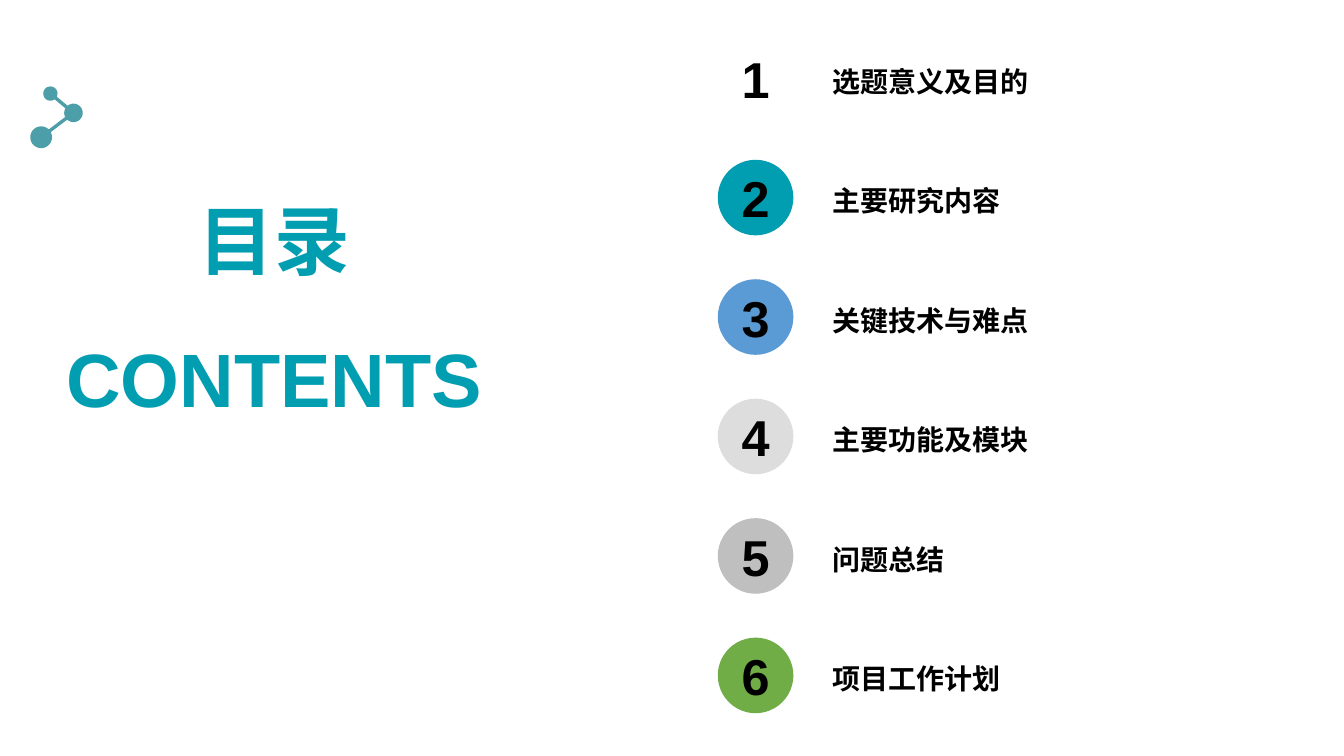
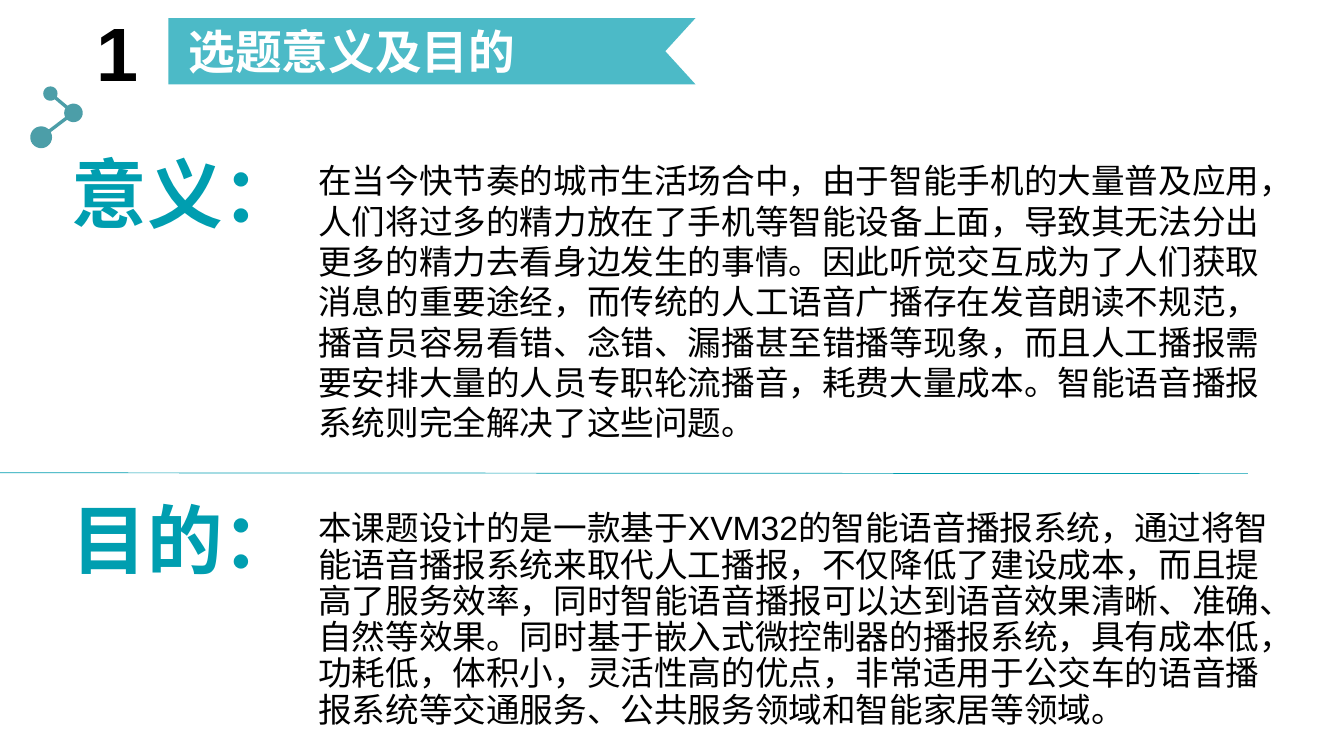
from dataclasses import dataclass
from math import asin, atan2, cos, pi, sin
from typing import NamedTuple

from lxml.etree import SubElement
from pptx import Presentation
from pptx.dml.color import RGBColor
from pptx.enum.lang import MSO_LANGUAGE_ID as Language
from pptx.enum.shapes import MSO_CONNECTOR as Connector, MSO_SHAPE as Preset
from pptx.enum.text import MSO_ANCHOR as Anchor, PP_ALIGN as Align
from pptx.oxml.ns import qn
from pptx.util import Emu, Inches, Pt

COLUMNS = 32
SLIDE_WIDTH = Inches(13.33)
SLIDE_HEIGHT = Inches(7.5)
CELL = SLIDE_WIDTH / COLUMNS


@dataclass(frozen=True)
class Theme:
    accent: str = "009EB0"
    molecule: str = "007684"
    blue: str = "5B9BD5"
    light_grey: str = "DDDDDD"
    grey: str = "BFBFBF"
    green: str = "70AD47"
    ink: str = "000000"
    paper: str = "FFFFFF"
    latin: str = "Arial"
    chinese: str = "Noto Sans CJK SC"
    title_size: float = 54
    number_size: float = 36
    ribbon_size: float = 33.3
    body_size: float = 24
    entry_size: float = 20
    opacity: int = 70


class Area(NamedTuple):
    left: float
    top: float
    width: float
    height: float


class Node(NamedTuple):
    x: float
    y: float
    radius: float


class Entry(NamedTuple):
    label: str
    color: str


class Section(NamedTuple):
    heading: str
    heading_top: float
    body: str
    body_top: float
    body_height: float
    line_spacing: float


THEME = Theme()

ENTRIES = [
    Entry("选题意义及目的", THEME.paper),
    Entry("主要研究内容", THEME.accent),
    Entry("关键技术与难点", THEME.blue),
    Entry("主要功能及模块", THEME.light_grey),
    Entry("问题总结", THEME.grey),
    Entry("项目工作计划", THEME.green),
]
ENTRY_PITCH = 2.845

SECTIONS = [
    Section(
        "意义：", 3.38,
        "在当今快节奏的城市生活场合中，由于智能手机的大量普及应用，"
        "人们将过多的精力放在了手机等智能设备上面，导致其无法分出更多的精力去看身边发生的事情。"
        "因此听觉交互成为了人们获取消息的重要途经，而传统的人工语音广播存在发音朗读不规范，"
        "播音员容易看错、念错、漏播甚至错播等现象，而且人工播报需要安排大量的人员专职轮流播音，"
        "耗费大量成本。智能语音播报系统则完全解决了这些问题。",
        3.7, 6.74, 1.0,
    ),
    Section(
        "目的：", 11.62,
        "本课题设计的是一款基于XVM32的智能语音播报系统，通过将智能语音播报系统来取代人工播报，"
        "不仅降低了建设成本，而且提高了服务效率，同时智能语音播报可以达到语音效果清晰、准确、自然等效果。"
        "同时基于嵌入式微控制器的播报系统，具有成本低，功耗低，体积小，灵活性高的优点，"
        "非常适用于公交车的语音播报系统等交通服务、公共服务领域和智能家居等领域。",
        12.07, 5.9, 0.9,
    ),
]

MOLECULE = [Node(1.2, 2.23, 0.17), Node(1.75, 2.69, 0.22), Node(0.98, 3.27, 0.26)]
HALF_LINK = 0.04
ARC_STEPS = 24


def cells(count: float) -> Emu:
    return Emu(round(count * CELL))


def place(area: Area) -> list[Emu]:
    return [cells(length) for length in area]


def paint(shape, color: str, opacity: int = 100) -> None:
    shape.shadow.inherit = False
    shape.fill.solid()
    shape.fill.fore_color.rgb = RGBColor.from_string(color)
    shape.line.fill.background()
    if opacity < 100:
        tint = shape._element.spPr.find(qn("a:solidFill"))[0]
        SubElement(tint, qn("a:alpha"), val=str(opacity * 1000))


def write(shape, text: str, *, size: float, color: str = THEME.ink,
          font: str = THEME.latin, bold: bool = True, align: Align = Align.LEFT,
          anchor: Anchor = Anchor.TOP, line_spacing: float = 1.0) -> None:
    frame = shape.text_frame
    frame.word_wrap = True
    frame.vertical_anchor = anchor
    para = frame.paragraphs[0]
    para.alignment = align
    para.line_spacing = line_spacing
    span = para.add_run()
    span.text = text
    span.font.size = Pt(size)
    span.font.bold = bold
    span.font.name = font
    span.font.language_id = Language.SIMPLIFIED_CHINESE
    span.font.color.rgb = RGBColor.from_string(color)
    SubElement(span.font._element, qn("a:ea"), typeface=THEME.chinese)


def add_text(page, area: Area, text: str, **style) -> None:
    write(page.shapes.add_textbox(*place(area)), text, **style)


def add_title(page, area: Area, text: str, align: Align) -> None:
    add_text(page, area, text, size=THEME.title_size, color=THEME.accent, align=align)


def add_number(page, area: Area, number: int, color: str, size: float) -> None:
    disc = page.shapes.add_shape(Preset.OVAL, *place(area))
    paint(disc, color)
    frame = disc.text_frame
    frame.margin_left = frame.margin_right = frame.margin_top = frame.margin_bottom = 0
    write(disc, str(number), size=size, align=Align.CENTER, anchor=Anchor.MIDDLE)


def add_outline(page, points: list[tuple[float, float]], color: str) -> None:
    start, *rest = [(cells(x), cells(y)) for x, y in points]
    builder = page.shapes.build_freeform(*start, scale=1.0)
    builder.add_line_segments(rest, close=True)
    paint(builder.convert_to_shape(), color, THEME.opacity)


def arc_between(node: Node, previous: Node, following: Node) -> list[tuple[float, float]]:
    gap = asin(HALF_LINK / node.radius)
    start = atan2(previous.y - node.y, previous.x - node.x) + gap
    end = atan2(following.y - node.y, following.x - node.x) - gap
    sweep = (end - start) % (2 * pi)
    angles = [start + sweep * step / ARC_STEPS for step in range(ARC_STEPS + 1)]
    return [(node.x + node.radius * cos(angle), node.y + node.radius * sin(angle))
            for angle in angles]


def add_molecule(page) -> None:
    small, middle, large = MOLECULE
    tour = [(small, middle, middle), (middle, small, large),
            (large, middle, middle), (middle, large, small)]
    add_outline(page, [point for stop in tour for point in arc_between(*stop)],
                THEME.molecule)


def add_page(deck):
    page = deck.slides.add_slide(deck.slide_layouts[6])
    add_molecule(page)
    return page


def add_ribbon(page, area: Area, notch: float, text: str) -> None:
    left, top, width, height = area
    right, bottom = left + width, top + height
    add_outline(page, [(left, top), (right, top), (right - notch, top + height / 2),
                       (right, bottom), (left, bottom)], THEME.accent)
    add_text(page, Area(left + 0.24, top + 0.1, 11.18, 1.37), text,
             size=THEME.ribbon_size, color=THEME.paper, font=THEME.chinese,
             anchor=Anchor.MIDDLE)


def add_divider(page, left: float, top: float, right: float, bottom: float) -> None:
    line = page.shapes.add_connector(Connector.STRAIGHT, cells(left), cells(top),
                                     cells(right), cells(bottom))
    line.line.color.rgb = RGBColor.from_string(THEME.accent)
    line.line.width = Pt(0.5)
    SubElement(line._element.spPr, qn("a:effectLst"))


def build_contents(deck) -> None:
    page = add_page(deck)
    for title, top in (("目录", 4.49), ("CONTENTS", 7.78)):
        add_title(page, Area(1.2, top, 10.66, 2.42), title, Align.CENTER)
    for index, entry in enumerate(ENTRIES):
        offset = index * ENTRY_PITCH
        add_number(page, Area(17.09, 0.96 + offset, 1.8, 1.8), index + 1,
                   entry.color, THEME.number_size)
        add_text(page, Area(19.58, 1.32 + offset, 8.76, 1.13), entry.label,
                 size=THEME.entry_size, font=THEME.chinese, anchor=Anchor.BOTTOM)


def build_purpose(deck) -> None:
    page = add_page(deck)
    add_number(page, Area(1.58, 0, 2.42, 2.42), 1, THEME.paper, THEME.title_size)
    add_ribbon(page, Area(4.01, 0.43, 12.55, 1.58), 0.72, ENTRIES[0].label)
    for section in SECTIONS:
        add_title(page, Area(0, section.heading_top, 7.34, 2.42), section.heading,
                  Align.RIGHT)
        add_text(page, Area(7.34, section.body_top, 23.33, section.body_height),
                 section.body, size=THEME.body_size, bold=False,
                 line_spacing=section.line_spacing)
    add_divider(page, 0, 11.26, 29.71, 11.28)


def main() -> None:
    deck = Presentation()
    deck.slide_width = SLIDE_WIDTH
    deck.slide_height = SLIDE_HEIGHT
    build_contents(deck)
    build_purpose(deck)
    deck.save("out.pptx")


if __name__ == "__main__":
    main()
